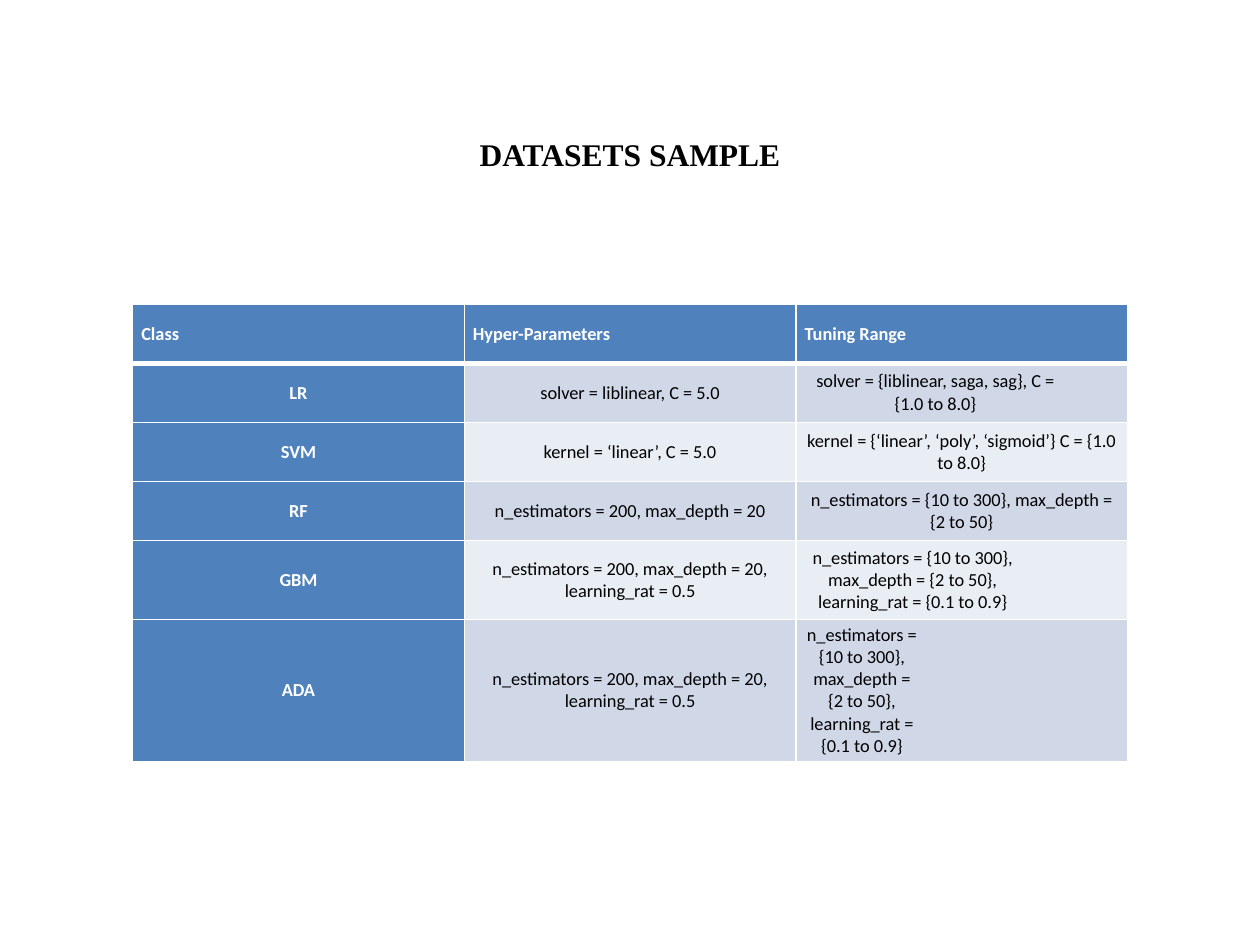
from lxml.etree import SubElement
from pptx import Presentation
from pptx.dml.color import RGBColor
from pptx.enum.text import MSO_ANCHOR as Anchor, PP_ALIGN as Align
from pptx.oxml.ns import qn
from pptx.util import Pt

COLORS = {
    "ink": "000000",
    "white": "FFFFFF",
    "header": "4F81BD",
    "odd": "D0D8E8",
    "even": "E9EDF4",
}
HEADINGS = ["Class", "Hyper-Parameters", "Tuning Range"]
BOOSTED = "n_estimators = 200, max_depth = 20, learning_rat = 0.5"
BOOSTED_RANGE = "n_estimators = {10 to 300}, max_depth = {2 to 50}, learning_rat = {0.1 to 0.9}"
# Class, hyper-parameters, tuning range, right indent of the range, row height
MODELS = [
    ("LR", "solver = liblinear, C = 5.0",
     "solver = {liblinear, saga, sag}, C = {1.0 to 8.0}", 30, 33.8),
    ("SVM", "kernel = ‘linear’, C = 5.0",
     "kernel = {‘linear’, ‘poly’, ‘sigmoid’} C = {1.0 to 8.0}", 0, 33.8),
    ("RF", "n_estimators = 200, max_depth = 20",
     "n_estimators = {10 to 300}, max_depth = {2 to 50}", 0, 33.8),
    ("GBM", BOOSTED, BOOSTED_RANGE, 56, 45),
    ("ADA", BOOSTED, BOOSTED_RANGE, 114, 81.2),
]
HEADER_HEIGHT = 33.8
TABLE_LEFT, TABLE_TOP, COLUMN_WIDTH = 75.8, 173.8, 189.5


def rgb(name):
    return RGBColor.from_string(COLORS[name])


def add_run(paragraph, text, font, size, color, bold):
    run = paragraph.add_run()
    run.text = text
    run.font.name = font
    run.font.size = Pt(size)
    run.font.bold = bold
    run.font.color.rgb = rgb(color)


def set_borders(cell, bottom):
    props = cell._tc.get_or_add_tcPr()
    for place, (side, width) in enumerate(
            [("lnL", 1), ("lnR", 1), ("lnT", 1), ("lnB", bottom)]):
        line = SubElement(props, qn(f"a:{side}"), w=str(Pt(width)))
        fill = SubElement(line, qn("a:solidFill"))
        SubElement(fill, qn("a:srgbClr"), val=COLORS["white"])
        props.insert(place, line)


def fill_cell(cell, text, fill, align=Align.CENTER, bottom=1, indent=0):
    strong = fill == "header"
    cell.fill.solid()
    cell.fill.fore_color.rgb = rgb(fill)
    cell.vertical_anchor = Anchor.MIDDLE
    cell.margin_left = cell.margin_right = Pt(5)
    cell.margin_top = cell.margin_bottom = Pt(2.1)
    paragraph = cell.text_frame.paragraphs[0]
    paragraph.alignment = align
    if indent:
        paragraph._p.get_or_add_pPr().set("marR", str(Pt(indent)))
    add_run(paragraph, text, "Calibri", 10.5, "white" if strong else "ink", strong)
    set_borders(cell, bottom)


def add_title(slide, text):
    title = slide.shapes.title
    title.left, title.top, title.width, title.height = Pt(36), Pt(43.2), Pt(648), Pt(90)
    title.text_frame.vertical_anchor = Anchor.MIDDLE
    paragraph = title.text_frame.paragraphs[0]
    paragraph.alignment = Align.CENTER
    add_run(paragraph, text, "Times New Roman", 18, "ink", True)


def add_model_table(slide):
    heights = [HEADER_HEIGHT] + [model[-1] for model in MODELS]
    table = slide.shapes.add_table(
        len(heights), len(HEADINGS), Pt(TABLE_LEFT), Pt(TABLE_TOP),
        Pt(COLUMN_WIDTH * len(HEADINGS)), Pt(sum(heights))).table
    table.first_col = True
    for column in table.columns:
        column.width = Pt(COLUMN_WIDTH)
    for row, height in zip(table.rows, heights):
        row.height = Pt(height)

    # Header row
    for col, heading in enumerate(HEADINGS):
        fill_cell(table.cell(0, col), heading, "header", Align.LEFT, bottom=3)

    # One banded row per model
    for row, (name, params, tuning, indent, _) in enumerate(MODELS, start=1):
        band = "odd" if row % 2 else "even"
        fill_cell(table.cell(row, 0), name, "header")
        fill_cell(table.cell(row, 1), params, band)
        fill_cell(table.cell(row, 2), tuning, band, indent=indent)


def main():
    deck = Presentation()
    deck.slide_width, deck.slide_height = Pt(720), Pt(540)
    slide = deck.slides.add_slide(deck.slide_layouts[5])
    add_title(slide, "DATASETS SAMPLE")
    add_model_table(slide)
    deck.save("out.pptx")


if __name__ == "__main__":
    main()
